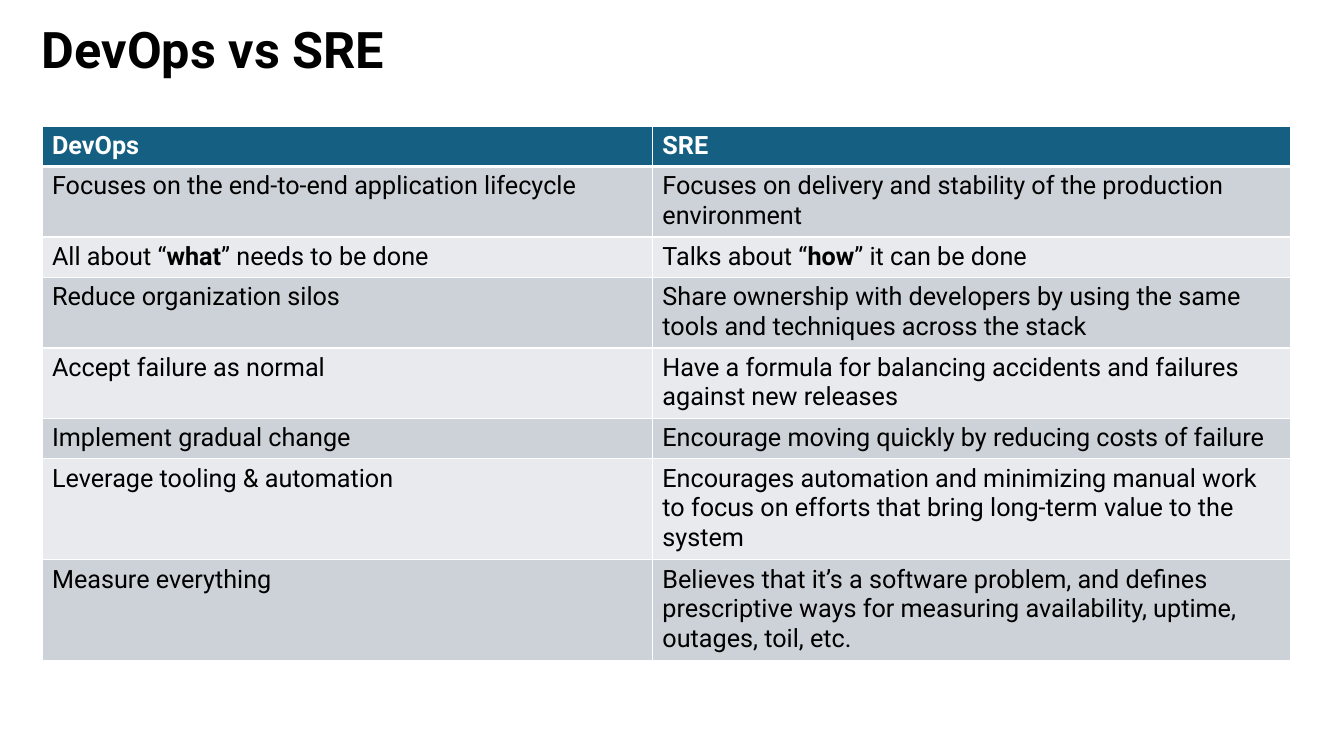
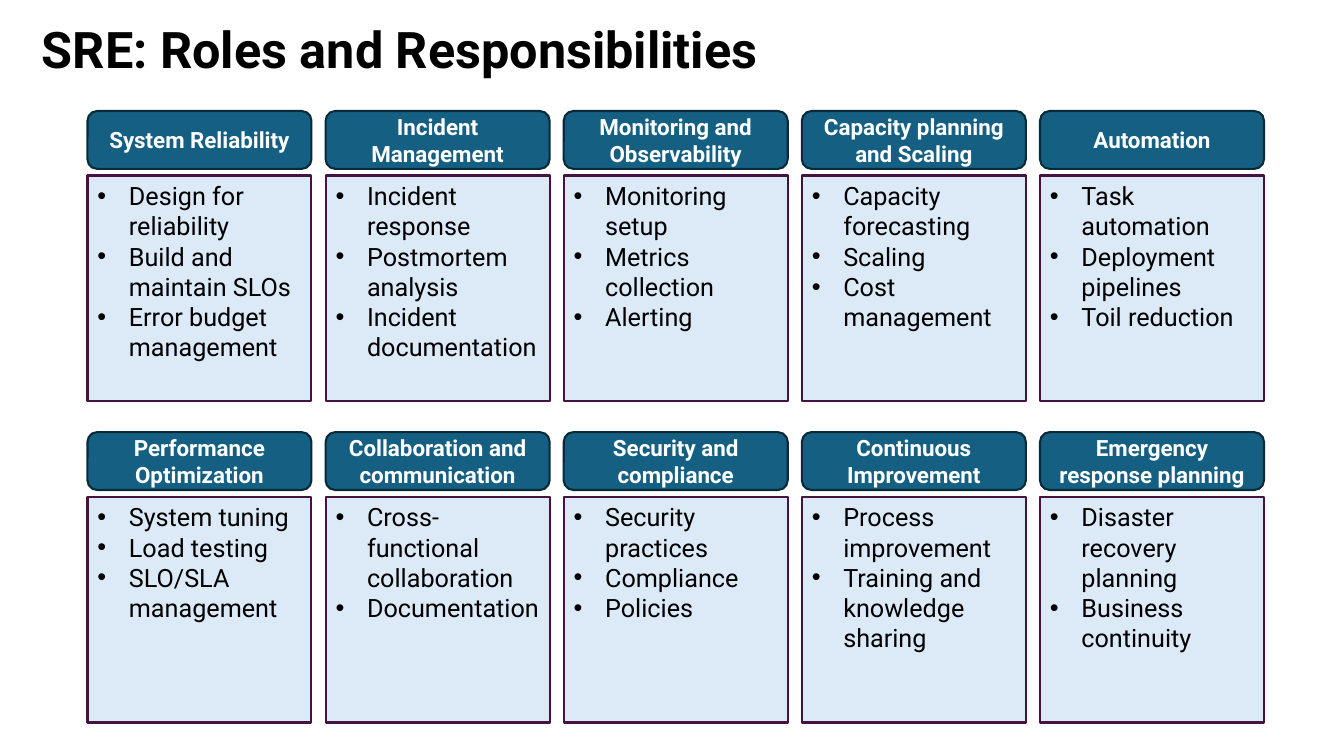
import pptx
import pptx.dml.color
import pptx.enum.shapes
import pptx.enum.text
import pptx.oxml.ns
import pptx.util
from lxml import etree

Pt = pptx.util.Pt
RGB = pptx.dml.color.RGBColor
ALIGN = pptx.enum.text.PP_ALIGN
ANCHOR = pptx.enum.text.MSO_ANCHOR
SHAPE = pptx.enum.shapes.MSO_SHAPE
qn = pptx.oxml.ns.qn

# Shared style
FONT = "Roboto"
BLACK = RGB(0x00, 0x00, 0x00)
WHITE = RGB(0xFF, 0xFF, 0xFF)
TEAL = RGB(0x15, 0x60, 0x82)
DARK_TEAL = RGB(0x09, 0x2A, 0x39)
PLUM = RGB(0x46, 0x13, 0x40)
PALE_BLUE = RGB(0xDC, 0xEA, 0xF7)
BANDS = [RGB(0xCC, 0xD2, 0xD8), RGB(0xE8, 0xEA, 0xED)]
LEFT = 30

# Content: lines of text in the row, DevOps, SRE (** marks bold)
COMPARISON = [
    (1, "**DevOps**", "**SRE**"),
    (2, "Focuses on the end-to-end application lifecycle",
     "Focuses on delivery and stability of the production environment"),
    (1, "All about “**what**” needs to be done",
     "Talks about “**how**” it can be done"),
    (2, "Reduce organization silos",
     "Share ownership with developers by using the same tools and techniques across the stack"),
    (2, "Accept failure as normal",
     "Have a formula for balancing accidents and failures against new releases"),
    (1, "Implement gradual change",
     "Encourage moving quickly by reducing costs of failure"),
    (3, "Leverage tooling & automation",
     "Encourages automation and minimizing manual work to focus on efforts "
     "that bring long-term value to the system"),
    (3, "Measure everything",
     "Believes that it’s a software problem, and defines prescriptive ways for "
     "measuring availability, uptime, outages, toil, etc."),
]
ROLES = [
    ("System Reliability",
     ["Design for reliability", "Build and maintain SLOs", "Error budget management"]),
    ("Incident Management",
     ["Incident response", "Postmortem analysis", "Incident documentation"]),
    ("Monitoring and Observability",
     ["Monitoring setup", "Metrics collection", "Alerting"]),
    ("Capacity planning and Scaling",
     ["Capacity forecasting", "Scaling", "Cost management"]),
    ("Automation",
     ["Task automation", "Deployment pipelines", "Toil reduction"]),
    ("Performance Optimization",
     ["System tuning", "Load testing", "SLO/SLA management"]),
    ("Collaboration and communication",
     ["Cross-functional collaboration", "Documentation"]),
    ("Security and compliance",
     ["Security practices", "Compliance", "Policies"]),
    ("Continuous Improvement",
     ["Process improvement", "Training and knowledge sharing"]),
    ("Emergency response planning",
     ["Disaster recovery planning", "Business continuity"]),
]


def write(frame, paragraphs, size=18, color=BLACK, align=ALIGN.LEFT,
          anchor=ANCHOR.TOP, spacing=None, bullet_indent=None):
    """Fill a text frame; text between ** marks is bold."""
    frame.word_wrap = True
    frame.vertical_anchor = anchor
    for number, text in enumerate(paragraphs):
        paragraph = frame.paragraphs[0] if number == 0 else frame.add_paragraph()
        paragraph.alignment = align
        if spacing:
            paragraph.line_spacing = spacing
        if bullet_indent:
            properties = paragraph._p.get_or_add_pPr()
            properties.set("marL", str(Pt(bullet_indent)))
            properties.set("indent", str(-Pt(bullet_indent)))
            etree.SubElement(properties, qn("a:buFont"), typeface="Arial")
            etree.SubElement(properties, qn("a:buChar"), char="•")
        for part, words in enumerate(text.split("**")):
            if words:
                run = paragraph.add_run()
                run.text = words
                run.font.name = FONT
                run.font.size = Pt(size)
                run.font.bold = part % 2 == 1
                run.font.color.rgb = color


def add_titled_slide(deck, title):
    slide = deck.slides.add_slide(deck.slide_layouts[6])
    frame = slide.shapes.add_textbox(Pt(LEFT), Pt(18), Pt(863), Pt(51)).text_frame
    frame.margin_left = frame.margin_right = frame.margin_top = frame.margin_bottom = 0
    write(frame, [f"**{title}**"], size=36, spacing=0.9)
    return slide


def set_borders(cell, widths):
    properties = cell._tc.get_or_add_tcPr()
    for side, width in widths.items():
        line = etree.SubElement(properties, qn(f"a:ln{side}"), w=str(Pt(width)))
        fill = etree.SubElement(line, qn("a:solidFill"))
        etree.SubElement(fill, qn("a:srgbClr"), val=str(WHITE))


def add_comparison(slide):
    column_widths = [436, 456]
    row_heights = [7.2 + 21.1 * lines for lines, *_ in COMPARISON]
    table = slide.shapes.add_table(
        len(COMPARISON), len(column_widths), Pt(LEFT), Pt(90),
        Pt(sum(column_widths)), Pt(sum(row_heights))).table
    for column, width in zip(table.columns, column_widths):
        column.width = Pt(width)
    for r, (_, *texts) in enumerate(COMPARISON):
        header = r == 0
        table.rows[r].height = Pt(row_heights[r])
        for c, text in enumerate(texts):
            cell = table.cell(r, c)
            set_borders(cell, {"L": 1, "R": 1, "T": 3 if r == 1 else 1,
                               "B": 3 if header else 1})
            cell.fill.solid()
            cell.fill.fore_color.rgb = TEAL if header else BANDS[(r - 1) % 2]
            write(cell.text_frame, [text], color=WHITE if header else BLACK)


def add_box(slide, kind, x, y, width, height, fill, line):
    box = slide.shapes.add_shape(kind, Pt(x), Pt(y), Pt(width), Pt(height))
    box.shadow.inherit = False
    box.fill.solid()
    box.fill.fore_color.rgb = fill
    box.line.color.rgb = line
    box.line.width = Pt(1.5)
    return box.text_frame


def add_roles(slide):
    columns, left, top = 5, 62.5, 79.3
    width, head_height, body_height = 160, 41.3, 161.3
    column_step, row_step, body_offset = 170.1, 229.4, 46.1
    for number, (role, duties) in enumerate(ROLES):
        row, column = divmod(number, columns)
        x, y = left + column * column_step, top + row * row_step
        head = add_box(slide, SHAPE.ROUNDED_RECTANGLE, x, y, width, head_height,
                       TEAL, DARK_TEAL)
        write(head, [f"**{role}**"], size=16, color=WHITE,
              align=ALIGN.CENTER, anchor=ANCHOR.MIDDLE)
        body = add_box(slide, SHAPE.RECTANGLE, x, y + body_offset, width, body_height,
                       PALE_BLUE, PLUM)
        write(body, duties, bullet_indent=22.5)


def main():
    deck = pptx.Presentation()
    deck.slide_width, deck.slide_height = Pt(960), Pt(540)
    add_comparison(add_titled_slide(deck, "DevOps vs SRE"))
    add_roles(add_titled_slide(deck, "SRE: Roles and Responsibilities"))
    deck.save("out.pptx")


if __name__ == "__main__":
    main()
